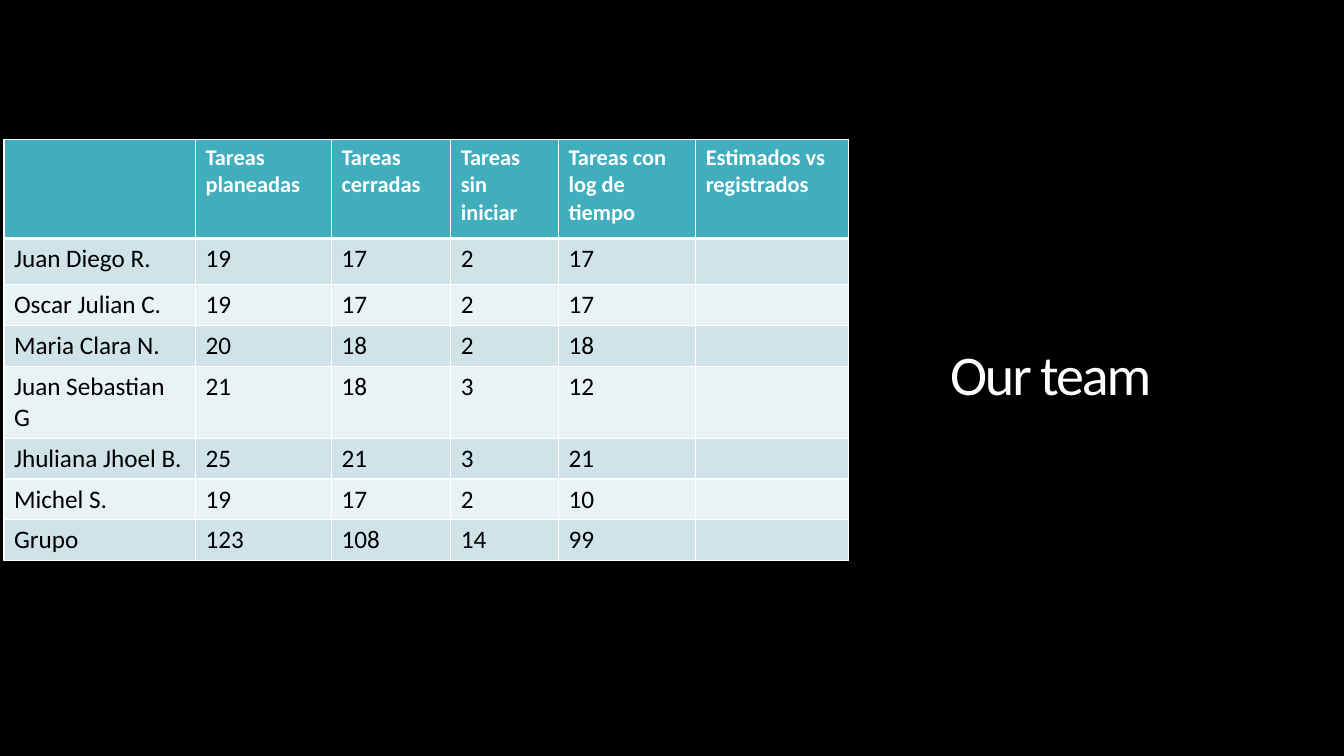
from lxml.etree import SubElement
from pptx import Presentation
from pptx.dml.color import RGBColor
from pptx.enum.text import MSO_ANCHOR as Anchor
from pptx.oxml import parse_xml
from pptx.oxml.ns import nsdecls, qn
from pptx.util import Pt

HEADINGS = ["", "Tareas planeadas", "Tareas cerradas", "Tareas sin iniciar",
            "Tareas con log de tiempo", "Estimados vs registrados"]
MEMBERS = [
    ["Juan Diego R.", 19, 17, 2, 17, ""],
    ["Oscar Julian C.", 19, 17, 2, 17, ""],
    ["Maria Clara N.", 20, 18, 2, 18, ""],
    ["Juan Sebastian G", 21, 18, 3, 12, ""],
    ["Jhuliana Jhoel B.", 25, 21, 3, 21, ""],
    ["Michel S.", 19, 17, 2, 10, ""],
    ["Grupo", 123, 108, 14, 99, ""],
]
COLUMN_WIDTHS = [136.8, 97.2, 85.2, 77, 98, 109.4]
ROW_HEIGHTS = [71, 33] + [29] * 6


def color(value):
    return RGBColor.from_string(value)


def write(frame, text, font="Calibri", size=18, fill="000000", bold=False,
          line_spacing=None, tracking=None):
    para = frame.paragraphs[0]
    para.line_spacing = line_spacing
    span = para.add_run()
    span.text = text
    span.font.name = font
    span.font.size = Pt(size)
    span.font.bold = bold
    span.font.color.rgb = color(fill)
    if tracking is not None:
        span.font._element.set("spc", str(int(tracking * 100)))


class TeamSlide:
    header, bands, rule, background = "41AEBD", ("CFE3E8", "E9F2F4"), "FFFFFF", "000000"

    def __init__(self, deck):
        self.page = deck.slides.add_slide(deck.slide_layouts[6])
        backdrop = self.page.background.fill
        backdrop.solid()
        backdrop.fore_color.rgb = color(self.background)

    def border(self, cell, top, bottom):
        properties = cell._tc.get_or_add_tcPr()
        widths = {"lnL": 1, "lnR": 1, "lnT": top, "lnB": bottom}
        for index, (side, width) in enumerate(widths.items()):
            line = parse_xml(f'<a:{side} {nsdecls("a")} w="{Pt(width)}"/>')
            paint = SubElement(line, qn("a:solidFill"))
            SubElement(paint, qn("a:srgbClr"), val=self.rule)
            properties.insert(index, line)

    def table(self, left, top, rows, widths, heights):
        grid = self.page.shapes.add_table(
            len(rows), len(widths), Pt(left), Pt(top),
            Pt(sum(widths)), Pt(sum(heights))).table
        for column, width in zip(grid.columns, widths):
            column.width = Pt(width)
        for number, (row, height, values) in enumerate(zip(grid.rows, heights, rows)):
            row.height = Pt(height)
            heading = number == 0
            for cell, value in zip(row.cells, values):
                cell.fill.solid()
                cell.fill.fore_color.rgb = color(
                    self.header if heading else self.bands[(number - 1) % 2])
                # The rule below the headings is heavier
                self.border(cell, top=3 if number == 1 else 1, bottom=3 if heading else 1)
                if value != "":
                    write(cell.text_frame, str(value), size=16 if heading else 18,
                          fill="FFFFFF" if heading else "000000", bold=heading)

    def title(self, left, top, width, height, text, inset=18):
        box = self.page.shapes.add_textbox(Pt(left), Pt(top), Pt(width), Pt(height))
        frame = box.text_frame
        frame.word_wrap = True
        frame.vertical_anchor = Anchor.MIDDLE
        frame.margin_left = frame.margin_right = Pt(inset)
        frame.margin_top = frame.margin_bottom = Pt(inset)
        write(frame, text, size=40, fill="FFFEFF", line_spacing=0.8, tracking=-1.5)


def main():
    deck = Presentation()
    deck.slide_width, deck.slide_height = Pt(960), Pt(540)
    slide = TeamSlide(deck)
    # Task counts per member
    slide.table(2.8, 99.4, [HEADINGS] + MEMBERS, COLUMN_WIDTHS, ROW_HEIGHTS)
    # Slide title
    slide.title(660.6, 133, 227.5, 275.8, "Our team")
    deck.save("out.pptx")


if __name__ == "__main__":
    main()
